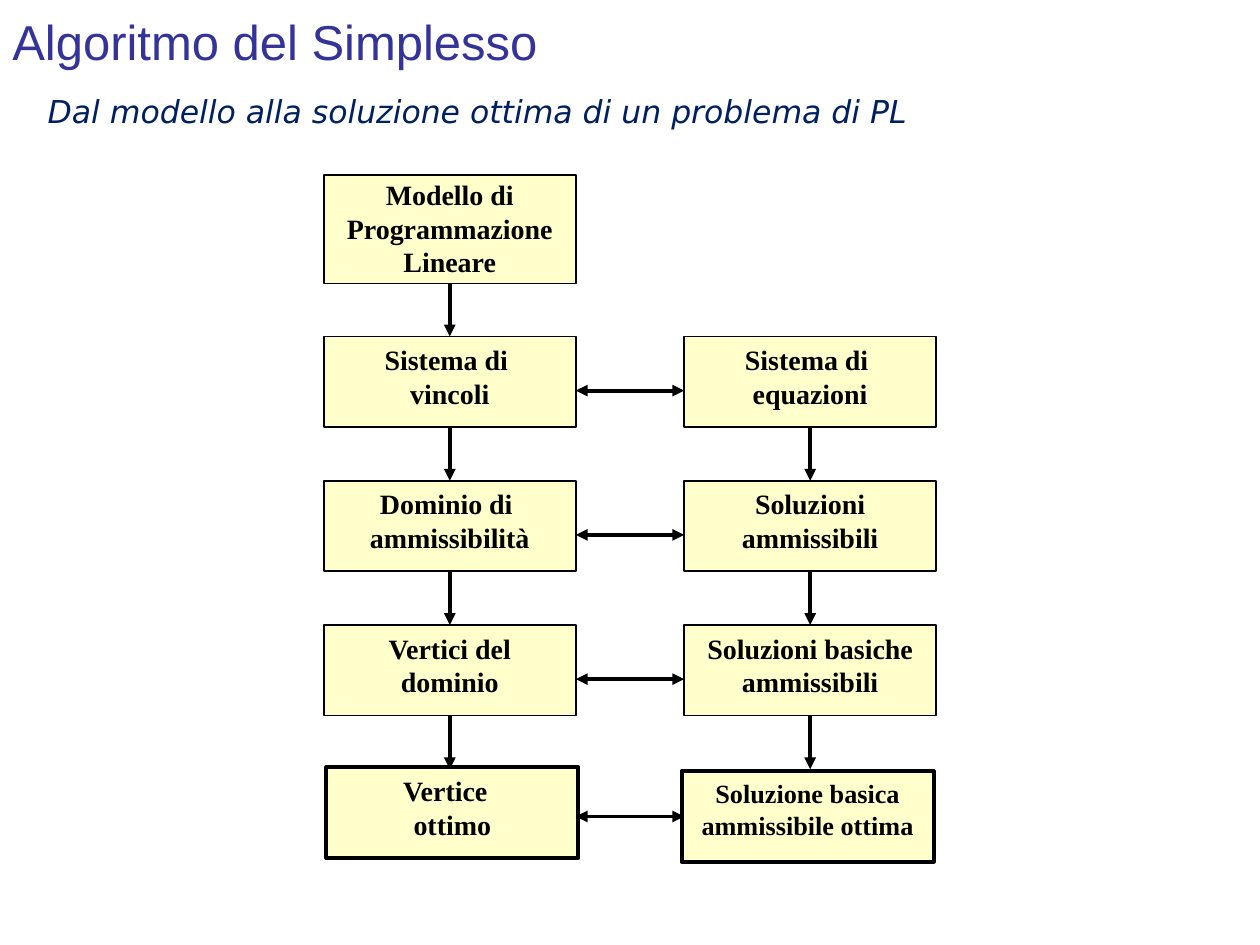
from lxml import etree
from pptx import Presentation
from pptx import util as u
from pptx.dml.color import RGBColor
from pptx.enum import shapes, text
from pptx.oxml.ns import qn

NAVY = RGBColor(0x00, 0x20, 0x60)
VIOLET = RGBColor(0x33, 0x33, 0x99)
CREAM = RGBColor(0xFF, 0xFF, 0xCC)
BLACK = RGBColor(0, 0, 0)
SERIF = "Times New Roman"

TITLE = "Algoritmo del Simplesso"
LEAD = "Dal modello alla soluzione ottima di un problema di PL"
MODEL = ["Modello di", "Programmazione Lineare"]
STEPS = [  # geometric view, algebraic view
    (["Sistema di ", "vincoli"], ["Sistema di ", "equazioni"]),
    (["Dominio di ", "ammissibilità"], ["Soluzioni", "ammissibili"]),
    (["Vertici del", "dominio"], ["Soluzioni basiche ammissibili"]),
]
BEST = (["Vertice  ", "ottimo"], ["Soluzione basica ammissibile ottima"])

COLS = (2.57, 5.43)
WIDE, HIGH = 2, 0.72
TOP, PITCH = 2.67, 1.145
MODEL_TOP, MODEL_HIGH = 1.39, 0.86
BEST_AT = ((2.59, 6.09), (5.41, 6.12))
BEST_SIZES = (16, 15)
THICK = 2.25

deck = Presentation()
deck.slide_width, deck.slide_height = u.Inches(10), u.Inches(7.5)
slide = deck.slides.add_slide(deck.slide_layouts[6])


def write(frame, lines, font, size, color, align=None, bold=False, italic=False):
    frame.word_wrap = True
    for i, line in enumerate(lines):
        para = frame.paragraphs[0] if i == 0 else frame.add_paragraph()
        para.alignment = align
        run = para.add_run()
        run.text = line
        face = run.font
        face.name, face.size = font, u.Pt(size)
        face.bold, face.italic = bold, italic
        face.color.rgb = color


def label(x, y, w, h, line, font, size, color, anchor, italic=False):
    box = slide.shapes.add_textbox(*map(u.Inches, (x, y, w, h)))
    write(box.text_frame, [line], font, size, color, italic=italic)
    box.text_frame.vertical_anchor = anchor


def node(x, y, lines, high=HIGH, size=16, edge=1, inset=0.05):
    box = slide.shapes.add_shape(
        shapes.MSO_SHAPE.RECTANGLE, *map(u.Inches, (x, y, WIDE, high)))
    box.shadow.inherit = False
    box.fill.solid()
    box.fill.fore_color.rgb = CREAM
    box.line.color.rgb = BLACK
    box.line.width = u.Pt(edge)
    frame = box.text_frame
    frame.vertical_anchor = text.MSO_ANCHOR.TOP
    frame.margin_top = u.Inches(inset)
    write(frame, lines, SERIF, size, BLACK, text.PP_ALIGN.CENTER, bold=True)


def arrow(x1, y1, x2, y2, both=False):
    link = slide.shapes.add_connector(
        shapes.MSO_CONNECTOR.STRAIGHT, *map(u.Inches, (x1, y1, x2, y2)))
    link.line.color.rgb = BLACK
    link.line.width = u.Pt(THICK)
    stroke = link.line._get_or_add_ln()
    for end in ("a:headEnd", "a:tailEnd") if both else ("a:tailEnd",):
        etree.SubElement(stroke, qn(end), type="triangle")
    etree.SubElement(link._element.spPr, qn("a:effectLst"))


label(0, -0.03, 9, 0.71, TITLE, "Arial", 28, VIOLET, text.MSO_ANCHOR.MIDDLE)
label(0.28, 0.68, 9.45, 0.4, LEAD, "DejaVu Sans", 18, NAVY,
      text.MSO_ANCHOR.TOP, italic=True)

node(COLS[0], MODEL_TOP, MODEL, high=MODEL_HIGH, inset=0.02)
for row, pair in enumerate(STEPS):
    for x, lines in zip(COLS, pair):
        node(x, TOP + row * PITCH, lines)
for (x, y), lines, size in zip(BEST_AT, BEST, BEST_SIZES):
    node(x, y, lines, size=size, edge=THICK)

left, right = COLS
mid = left + WIDE / 2
arrow(mid, MODEL_TOP + MODEL_HIGH, mid, TOP)
for row in range(len(STEPS)):
    y = TOP + row * PITCH
    for x in COLS:
        arrow(x + WIDE / 2, y + HIGH, x + WIDE / 2, y + PITCH)
    arrow(left + WIDE, y + 0.43, right, y + 0.43, both=True)
arrow(left + WIDE, 6.48, right, 6.48, both=True)

deck.save("out.pptx")
